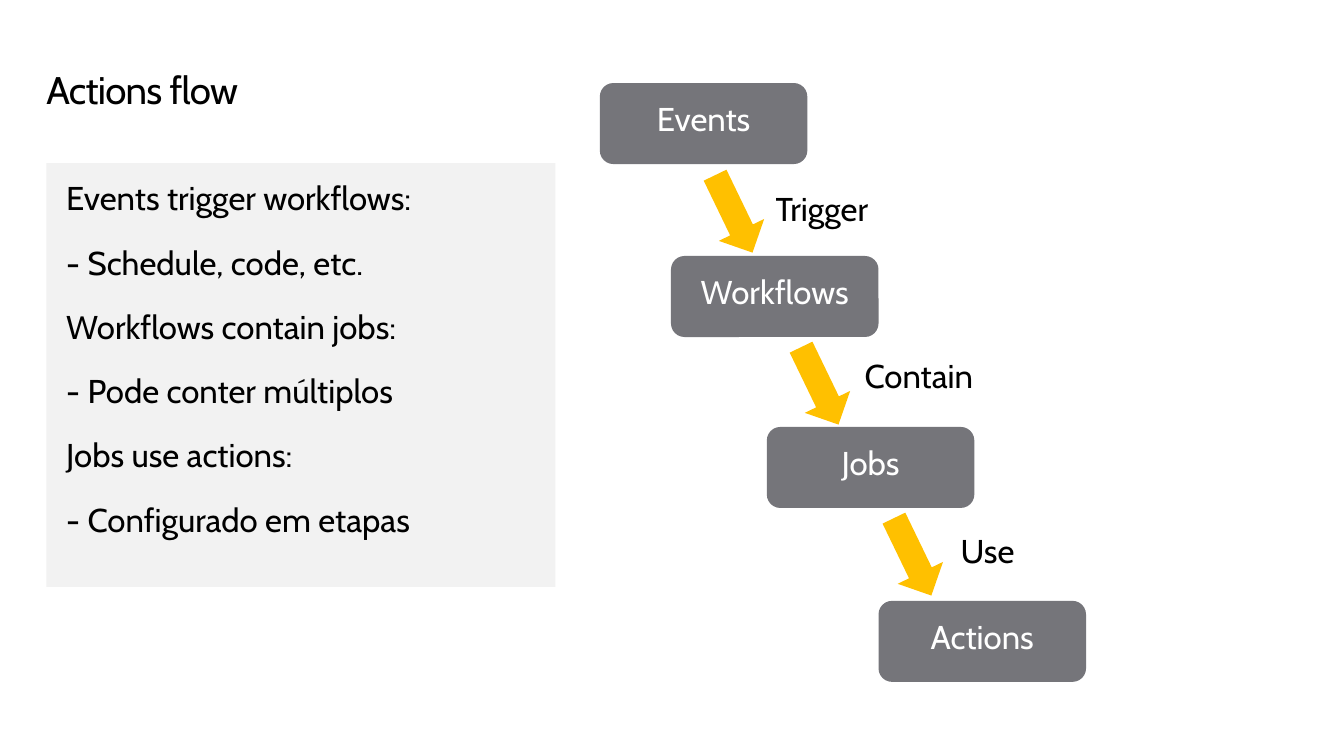
import pptx
import pptx.util
import pptx.dml.color
import pptx.enum.shapes
import pptx.enum.text

Inches = pptx.util.Inches
Pt = pptx.util.Pt
RGBColor = pptx.dml.color.RGBColor
MSO_SHAPE = pptx.enum.shapes.MSO_SHAPE
PP_ALIGN = pptx.enum.text.PP_ALIGN

TITLE = "Actions flow"
EXPLANATION = [
    "Events trigger workflows:",
    "- Schedule, code, etc.",
    "Workflows contain jobs:",
    "- Pode conter múltiplos",
    "Jobs use actions:",
    "- Configurado em etapas",
]
STAGES = [
    ("Events", 6.07, 0.84),
    ("Workflows", 6.79, 2.59),
    ("Jobs", 7.76, 4.32),
    ("Actions", 8.89, 6.08),
]
ARROWS = [(6.99, 1.91), (7.86, 3.65), (8.8, 5.38)]
LABELS = [
    ("Trigger", 7.65, 1.79, 1.47),
    ("Contain", 8.55, 3.48, 1.6),
    ("Use", 9.52, 5.25, 1.47),
]

FONT = "Cabin"
BLACK = RGBColor(0x00, 0x00, 0x00)
WHITE = RGBColor(0xFF, 0xFF, 0xFF)
PANEL_GRAY = RGBColor(0xF2, 0xF2, 0xF2)
STAGE_GRAY = RGBColor(0x75, 0x75, 0x7A)
ARROW_YELLOW = RGBColor(0xFF, 0xC0, 0x00)


def add_filled_shape(slide, kind, left, top, width, height, color):
    shape = slide.shapes.add_shape(
        kind, Inches(left), Inches(top), Inches(width), Inches(height))
    shape.shadow.inherit = False
    shape.fill.solid()
    shape.fill.fore_color.rgb = color
    shape.line.fill.background()
    return shape


def add_text_box(slide, left, top, width, height):
    return slide.shapes.add_textbox(
        Inches(left), Inches(top), Inches(width), Inches(height))


def write(shape, lines, color=BLACK, size=24, inset_x=0.2, inset_y=0.16,
          align=PP_ALIGN.LEFT, line_spacing=None, before=0, after=0):
    frame = shape.text_frame
    frame.word_wrap = True
    frame.vertical_anchor = pptx.enum.text.MSO_ANCHOR.TOP
    frame.margin_left = frame.margin_right = Inches(inset_x)
    frame.margin_top = frame.margin_bottom = Inches(inset_y)
    for index, line in enumerate(lines):
        paragraph = frame.add_paragraph() if index else frame.paragraphs[0]
        paragraph.alignment = align
        paragraph.line_spacing = line_spacing
        paragraph.space_before = Pt(before)
        paragraph.space_after = Pt(after)
        run = paragraph.add_run()
        run.text = line
        run.font.name = FONT
        run.font.size = Pt(size)
        run.font.color.rgb = color


def main():
    presentation = pptx.Presentation()
    presentation.slide_width = Inches(13.6)
    presentation.slide_height = Inches(7.65)
    slide = presentation.slides.add_slide(presentation.slide_layouts[6])

    title = add_text_box(slide, 0.47, 0.69, 12.65, 0.45)
    write(title, [TITLE], size=28, inset_x=0, inset_y=0, line_spacing=Pt(32))
    title_run = title.text_frame.paragraphs[0].runs[0]
    title_run.font._element.set("spc", "-50")

    panel = add_filled_shape(
        slide, MSO_SHAPE.RECTANGLE, 0.47, 1.65, 5.15, 4.29, PANEL_GRAY)
    write(panel, EXPLANATION, inset_y=0.15, before=18)

    for name, left, top in STAGES:
        stage = add_filled_shape(
            slide, MSO_SHAPE.ROUNDED_RECTANGLE, left, top, 2.1, 0.82, STAGE_GRAY)
        write(stage, [name], WHITE, align=PP_ALIGN.CENTER, line_spacing=0.9)

    for left, top in ARROWS:
        arrow = add_filled_shape(
            slide, MSO_SHAPE.RIGHT_ARROW, left, top, 0.87, 0.51, ARROW_YELLOW)
        arrow.rotation = 64.2

    for name, left, top, width in LABELS:
        label = add_text_box(slide, left, top, width, 0.69)
        write(label, [name], line_spacing=0.9, after=6)

    presentation.save("out.pptx")


if __name__ == "__main__":
    main()
